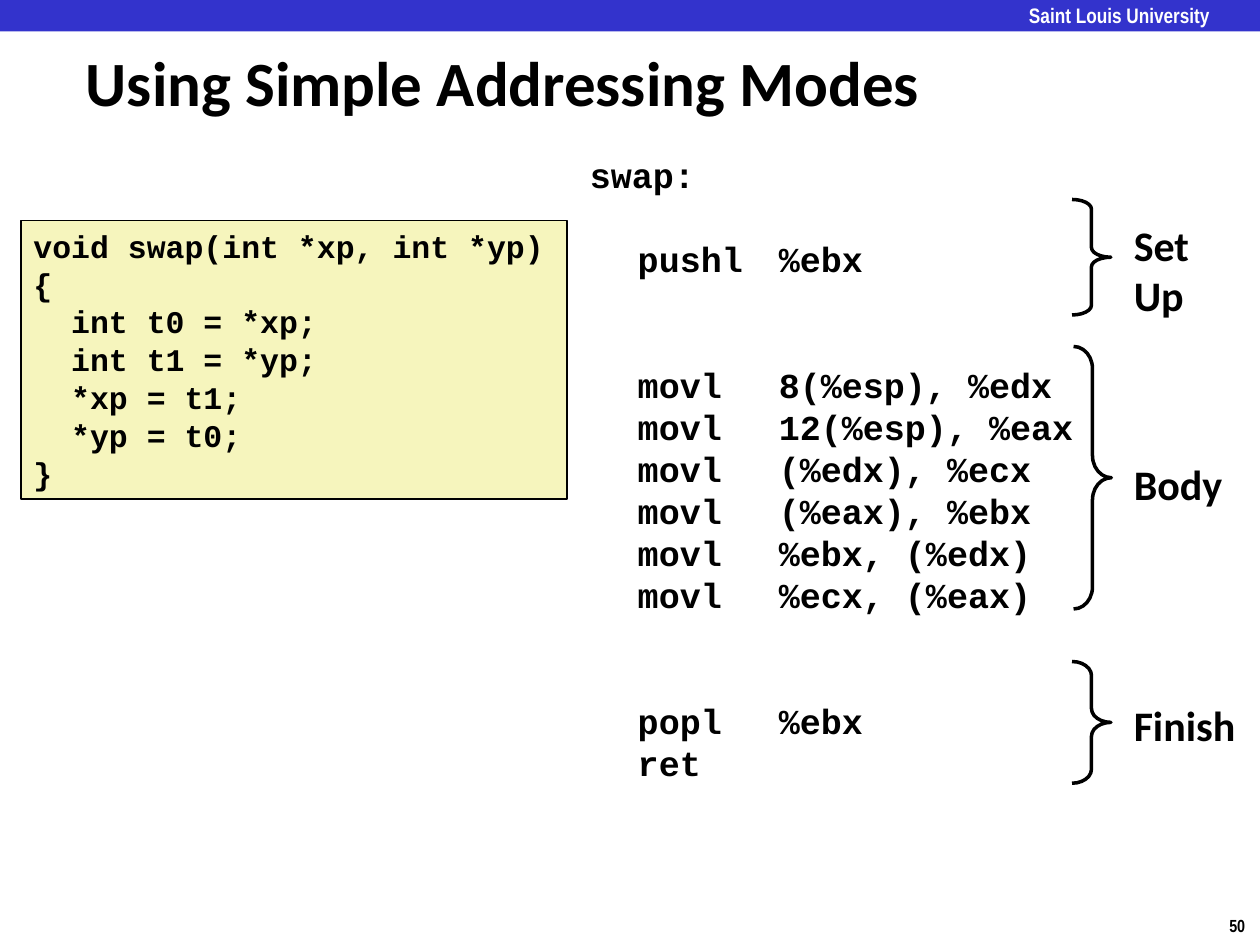
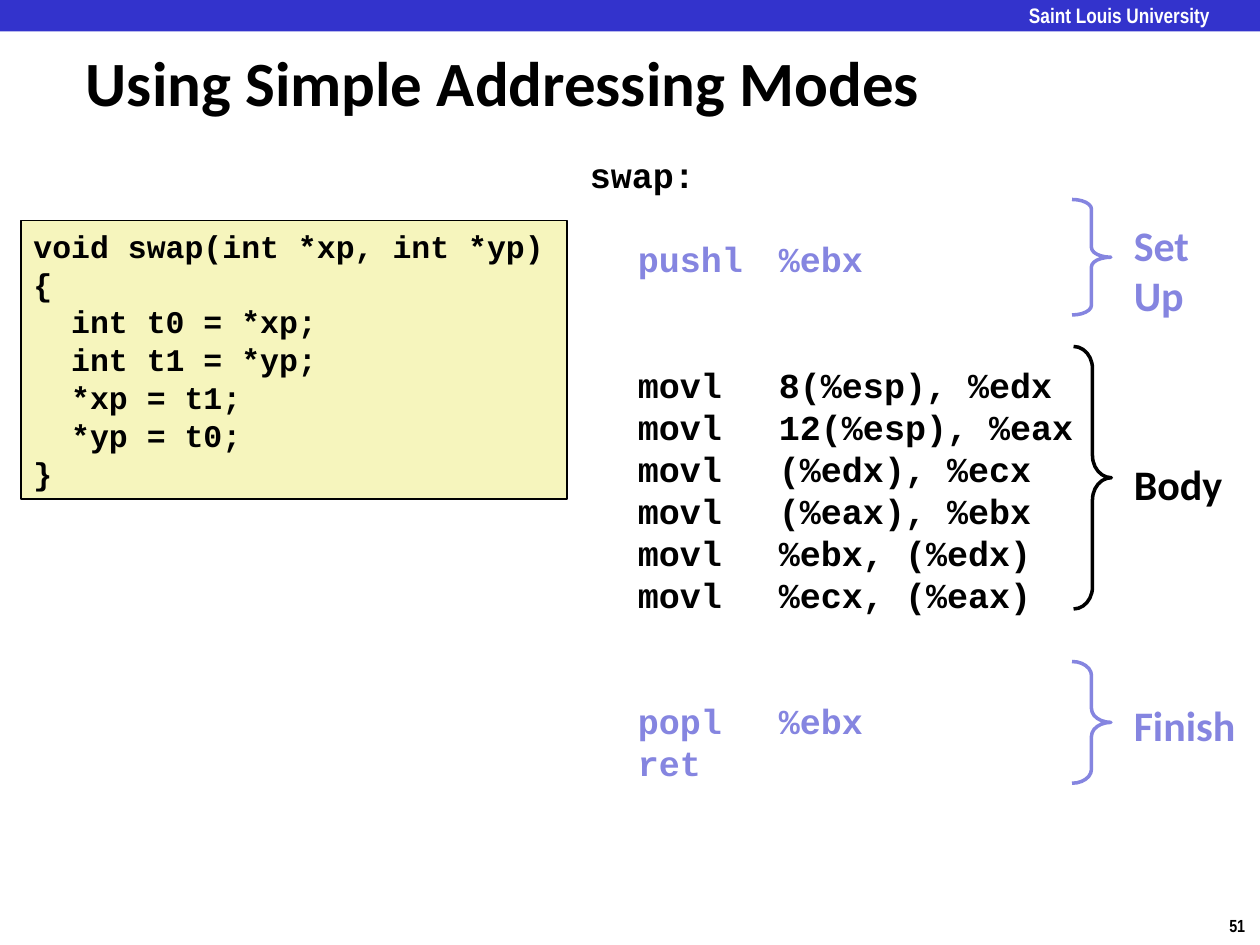
from dataclasses import dataclass

from pptx import Presentation
from pptx.dml.color import RGBColor
from pptx.enum.shapes import MSO_SHAPE as Shape
from pptx.enum.text import MSO_ANCHOR as Anchor, MSO_AUTO_SIZE as AutoSize
from pptx.oxml.ns import qn
from pptx.util import Inches, Pt
from lxml.etree import SubElement


@dataclass(frozen=True)
class Theme:
    """Colours, fonts and type sizes that the slides share."""
    ink: str = "000000"
    paper: str = "FFFFFF"
    band: str = "3333CC"
    muted: str = "8585E0"
    code_fill: str = "F6F5BD"
    sans: str = "Calibri"
    narrow: str = "Arial Narrow"
    mono: str = "Courier New"
    title: int = 36
    label: int = 24
    assembly: int = 20
    source: int = 18
    header: int = 12
    number: int = 10


@dataclass(frozen=True)
class Section:
    """A run of assembly lines with its brace and label."""
    label: str
    lines: tuple
    blank_rows: int
    brace: tuple
    bend: float
    label_area: tuple


THEME = Theme()
COLUMNS, ROWS = 120, 90
CELL = Inches(10) / COLUMNS
LINE_FACTOR = 1.2

SWAP_SOURCE = """void swap(int *xp, int *yp)
{
  int t0 = *xp;
  int t1 = *yp;
  *xp = t1;
  *yp = t0;
}""".split("\n")

SECTIONS = (
    Section("Set\nUp", ("pushl\t%ebx",), 1,
            (102.1, 19, 3.7, 11), 0.25, (106.8, 20.3, 7.8, 10.9)),
    Section("Body", ("movl\t8(%esp), %edx", "movl\t12(%esp), %eax",
                     "movl\t(%edx), %ecx", "movl\t(%eax), %ebx",
                     "movl\t%ebx, (%edx)", "movl\t%ecx, (%eax)"), 2,
            (102.25, 33, 3.6, 25), 0.585, (106.8, 43.1, 10.9, 6)),
    Section("Finish", ("popl\t%ebx", "ret"), 2,
            (102.1, 63, 3.7, 11.6), 0.362, (106.8, 66, 12.2, 6)),
)


def cells(*values):
    """Turn grid columns and rows into lengths."""
    return [round(value * CELL) for value in values]


def set_all(target, values):
    """Set each attribute named in a dict."""
    for name, value in values.items():
        setattr(target, name, value)


def add_tabs(para, stops):
    """Give a paragraph left tab stops, in inches."""
    tab_list = SubElement(para._p.get_or_add_pPr(), qn("a:tabLst"))
    for stop in stops:
        SubElement(tab_list, qn("a:tab"), pos=str(Inches(stop)), algn="l")


def write_line(frame, text, first, font, size, color, tabs=(), **spacing):
    """Write one line of bold text as a paragraph."""
    para = frame.paragraphs[0] if first else frame.add_paragraph()
    set_all(para, spacing)
    if tabs:
        add_tabs(para, tabs)
    span = para.add_run()
    span.text = text
    set_all(span.font, {"name": font, "size": Pt(size), "bold": True})
    span.font.color.rgb = RGBColor.from_string(color)


def add_text(page, area, text, font, size, color=THEME.ink, **frame_format):
    """Add a text box with one paragraph per line."""
    box = page.shapes.add_textbox(*cells(*area))
    set_all(box.text_frame, {"word_wrap": True, **frame_format})
    for index, line in enumerate(text.split("\n")):
        write_line(box.text_frame, line, index == 0, font, size, color)


def add_figure(page, kind, area, fill=None, line=None, width=1):
    """Add a preset shape with an optional fill and outline."""
    figure = page.shapes.add_shape(kind, *cells(*area))
    figure.shadow.inherit = False
    for paint, color in ((figure.fill, fill), (figure.line.fill, line)):
        if color:
            paint.solid()
            paint.fore_color.rgb = RGBColor.from_string(color)
        else:
            paint.background()
    if line:
        figure.line.width = Pt(width)
    return figure


def add_frame(page, number, title):
    """Add the band, header, page number and title."""
    no_insets = dict.fromkeys(
        ("margin_left", "margin_top", "margin_right", "margin_bottom"), 0)
    add_text(page, (115.9, 86.6, 4.1, 3.2), str(number), THEME.narrow,
             THEME.number, word_wrap=False)
    add_figure(page, Shape.RECTANGLE, (0, 0, COLUMNS, 3), THEME.band)
    add_text(page, (98, 0.24, 20, 2.3), "Saint Louis University", THEME.narrow,
             THEME.header, THEME.paper, **no_insets)
    add_text(page, (7, 4, 100.5, 7.5), title, THEME.sans, THEME.title,
             vertical_anchor=Anchor.MIDDLE)


def add_source(page):
    """Add the framed C function."""
    panel = add_figure(page, Shape.RECTANGLE, (2, 21, 52, 26.5),
                       THEME.code_fill, THEME.ink)
    frame = panel.text_frame
    set_all(frame, {"word_wrap": True, "vertical_anchor": Anchor.TOP})
    for index, line in enumerate(SWAP_SOURCE):
        write_line(frame, line, index == 0, THEME.mono, THEME.source, THEME.ink,
                   alignment=1, line_spacing=Pt(THEME.source * LINE_FACTOR))


def add_assembly(page, width, colors):
    """Add the assembly listing with a gap before each section."""
    box = page.shapes.add_textbox(*cells(55, 14, width, 61.8))
    frame = box.text_frame
    frame.word_wrap = True
    pitch = THEME.assembly * LINE_FACTOR
    style = {"font": THEME.mono, "size": THEME.assembly, "tabs": (0.38, 1.5),
             "line_spacing": Pt(pitch)}
    write_line(frame, "swap:", True, color=THEME.ink, **style)
    for section, color in zip(SECTIONS, colors):
        for index, line in enumerate(section.lines):
            gap = 0 if index else section.blank_rows * pitch
            write_line(frame, "\t" + line, False, color=color,
                       space_before=Pt(gap), **style)


def add_section_mark(page, section, color):
    """Add the brace and the label of a section."""
    brace = add_figure(page, Shape.RIGHT_BRACE, section.brace, line=color, width=2)
    brace.adjustments[0] = section.bend
    brace.adjustments[1] = 0.5
    add_text(page, section.label_area, section.label, THEME.sans, THEME.label,
             color, word_wrap=False, auto_size=AutoSize.SHAPE_TO_FIT_TEXT)


def add_swap_page(deck, number, listing_width, side_color):
    """Add a page on swap, with set up and finish in the side colour."""
    page = deck.slides.add_slide(deck.slide_layouts[6])
    colors = (side_color, THEME.ink, side_color)
    add_frame(page, number, "Using Simple Addressing Modes")
    add_source(page)
    add_assembly(page, listing_width, colors)
    for section, color in zip(SECTIONS, colors):
        add_section_mark(page, section, color)


def main():
    """Build and save the deck."""
    deck = Presentation()
    deck.slide_width, deck.slide_height = cells(COLUMNS, ROWS)
    add_swap_page(deck, 50, 55, THEME.ink)
    add_swap_page(deck, 51, 50.8, THEME.muted)
    deck.save("out.pptx")


if __name__ == "__main__":
    main()
